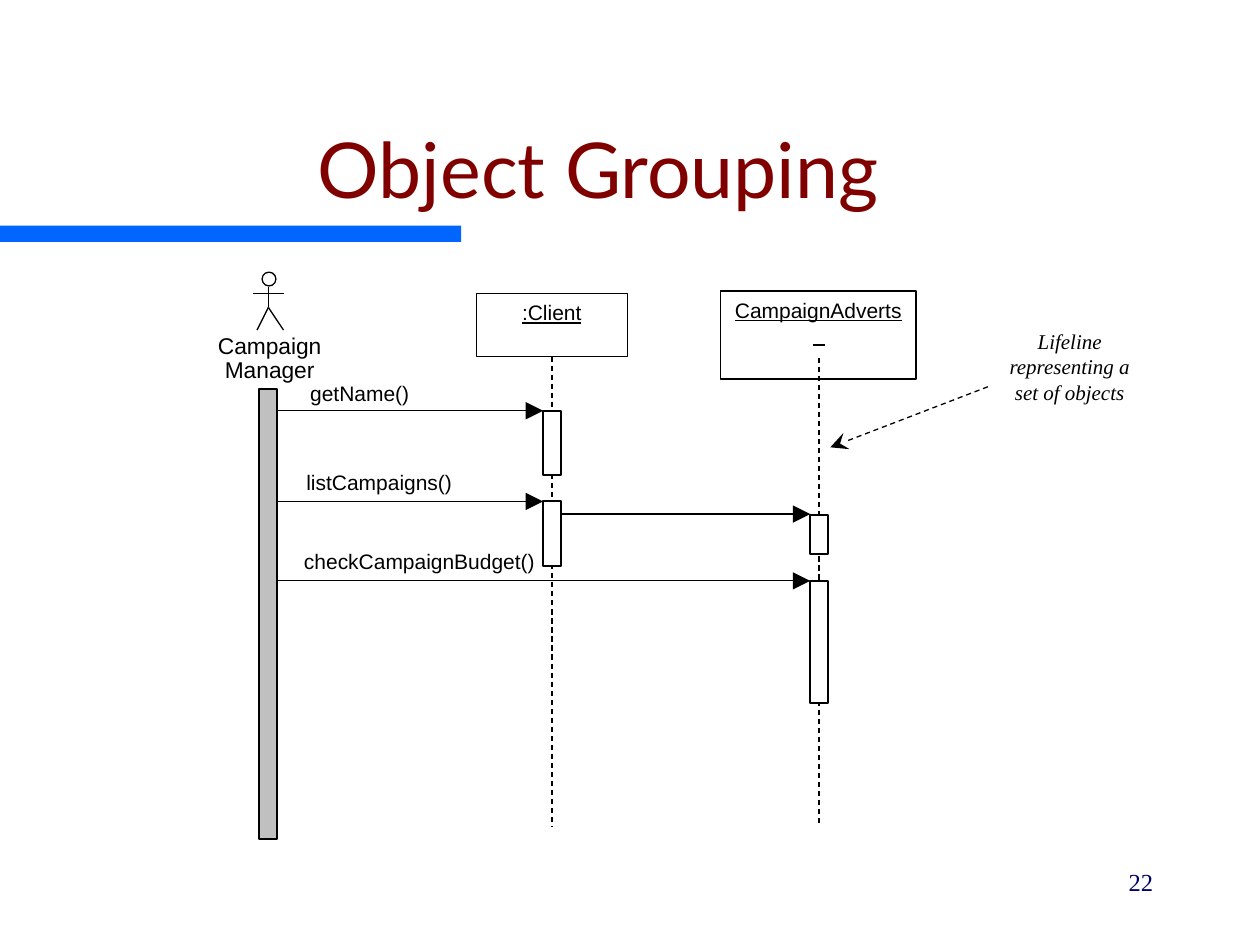
from dataclasses import dataclass

from lxml import etree
from pptx import Presentation
from pptx.dml.color import RGBColor
from pptx.enum import dml, shapes, text
from pptx.oxml import ns
from pptx.util import Inches, Pt


@dataclass(frozen=True)
class Theme:
    ink: str = "000000"
    paper: str = "FFFFFF"
    actor_bar: str = "C0C0C0"
    accent: str = "0066FF"
    title_color: str = "800000"
    number_color: str = "000066"
    title_font: str = "Lato"
    label_font: str = "Arial"
    note_font: str = "Times New Roman"
    title_size: int = 44
    label_size: int = 12
    actor_size: int = 13
    number_size: int = 14
    thin: float = 0.75
    bar_line: float = 1.13


THEME = Theme()
BAR = 0.14  # width of every activation bar
ACTOR_X, CLIENT_X, ADVERTS_X = 2.13, 4.38, 6.5


def write(frame, content, size, font=THEME.label_font, color=THEME.ink,
          align=text.PP_ALIGN.CENTER, anchor=text.MSO_ANCHOR.TOP,
          margins=(0.1, 0.05), wrap=True, **style):
    """Put one formatted paragraph in a text frame."""
    side, end = (Inches(m) for m in margins)
    layout = dict(word_wrap=wrap, vertical_anchor=anchor, margin_left=side,
                  margin_right=side, margin_top=end, margin_bottom=end)
    for key, value in layout.items():
        setattr(frame, key, value)
    paragraph = frame.paragraphs[0]
    paragraph.alignment = align
    run = paragraph.add_run()
    run.text = content
    for key, value in dict(name=font, size=Pt(size), **style).items():
        setattr(run.font, key, value)
    run.font.color.rgb = RGBColor.from_string(color)


def add_text(slide, box, content, size, **options):
    frame = slide.shapes.add_textbox(*map(Inches, box)).text_frame
    write(frame, content, size, **options)


def add_label(slide, box, content, size=THEME.label_size):
    add_text(slide, box, content, size, margins=(0, 0), wrap=False)


def add_box(slide, box, fill=None, width=THEME.thin,
            kind=shapes.MSO_SHAPE.RECTANGLE):
    shape = slide.shapes.add_shape(kind, *map(Inches, box))
    shape.shadow.inherit = False
    if fill:
        shape.fill.solid()
        shape.fill.fore_color.rgb = RGBColor.from_string(fill)
    else:
        shape.fill.background()
    if width:
        shape.line.color.rgb = RGBColor.from_string(THEME.ink)
        shape.line.width = Pt(width)
    else:
        shape.line.fill.background()
    return shape


def add_line(slide, start, end, head=None, dashed=False, width=THEME.thin):
    line = slide.shapes.add_connector(shapes.MSO_CONNECTOR.STRAIGHT,
                                      *map(Inches, (*start, *end)))
    line.line.color.rgb = RGBColor.from_string(THEME.ink)
    line.line.width = Pt(width)
    if dashed:
        line.line.dash_style = dml.MSO_LINE.DASH
    if head:
        etree.SubElement(line.line._get_or_add_ln(), ns.qn("a:tailEnd"),
                         type=head, w="lg", len="lg")
    etree.SubElement(line._element.spPr, ns.qn("a:effectLst"))
    return line


def add_object(slide, box, name):
    head = add_box(slide, box)
    write(head.text_frame, name, THEME.label_size, wrap=False, underline=True)
    return head


def add_activation(slide, x, top, height, fill=THEME.paper):
    add_box(slide, (x - BAR / 2, top, BAR, height), fill, THEME.bar_line)


def add_actor(slide):
    add_box(slide, (ACTOR_X - 0.05, 2.16, 0.11, 0.11), THEME.paper,
            kind=shapes.MSO_SHAPE.OVAL)
    neck, hip = (ACTOR_X, 2.28), (ACTOR_X, 2.44)
    limbs = [(neck, hip), (hip, (2.04, 2.62)), (hip, (2.25, 2.62)),
             ((2.01, 2.33), (2.25, 2.33))]
    for start, end in limbs:
        add_line(slide, start, end)
    for top, word in [(2.63, "Campaign"), (2.82, "Manager")]:
        add_label(slide, (1.64, top, 1, 0.22), word, THEME.actor_size)


def add_title(slide):
    add_box(slide, (0, 1.79, 3.66, 0.13), THEME.accent, width=None)
    title = slide.shapes.title
    place = dict(left=0.25, top=0.5, width=9, height=1.25)
    for key, value in place.items():
        setattr(title, key, Inches(value))
    write(title.text_frame, "Object Grouping", THEME.title_size,
          font=THEME.title_font, color=THEME.title_color,
          anchor=text.MSO_ANCHOR.BOTTOM)


def main():
    deck = Presentation()
    deck.slide_width, deck.slide_height = Inches(10), Inches(7.5)
    slide = deck.slides.add_slide(deck.slide_layouts[5])
    add_title(slide)

    # Objects and their lifelines
    client = add_object(slide, (3.78, 2.33, 1.2, 0.5), ":Client")
    add_object(slide, (5.72, 2.31, 1.55, 0.7), "CampaignAdverts")
    add_line(slide, (6.45, 2.74), (6.55, 2.74), width=THEME.bar_line)
    client_lifeline = add_line(slide, (CLIENT_X, 2.83), (CLIENT_X, 6.56),
                               dashed=True)
    client_lifeline.begin_connect(client, 2)
    add_line(slide, (ADVERTS_X, 2.84), (ADVERTS_X, 6.56), dashed=True)

    # Activation bars
    add_activation(slide, ACTOR_X, 3.09, 3.57, THEME.actor_bar)
    for x, top, height in [(CLIENT_X, 3.26, 0.51), (CLIENT_X, 3.98, 0.51),
                           (ADVERTS_X, 4.09, 0.31), (ADVERTS_X, 4.61, 0.97)]:
        add_activation(slide, x, top, height)

    # Messages run from the right side of one bar to the left of the next
    for source, target, y in [(ACTOR_X, CLIENT_X, 3.26),
                              (ACTOR_X, CLIENT_X, 3.98),
                              (CLIENT_X, ADVERTS_X, 4.08),
                              (ACTOR_X, ADVERTS_X, 4.61)]:
        add_line(slide, (source + BAR / 2, y), (target - BAR / 2, y),
                 head="triangle")
    for left, top, width, message in [
            (2.4, 3.02, 0.91, "getName()"),
            (2.14, 3.73, 1.74, "listCampaigns()"),
            (2.38, 4.35, 1.9, "checkCampaignBudget()")]:
        add_label(slide, (left, top, width, 0.2), message)

    add_actor(slide)

    # Note and page number
    add_line(slide, (7.84, 3.07), (6.59, 3.55), head="stealth", dashed=True)
    add_text(slide, (7.89, 2.56, 1.2, 0.7),
             "Lifeline representing a set of objects", THEME.label_size,
             font=THEME.note_font, italic=True)
    add_text(slide, (7.17, 6.83, 2.08, 0.5), "22", THEME.number_size,
             font=THEME.note_font, color=THEME.number_color,
             align=text.PP_ALIGN.RIGHT)

    deck.save("out.pptx")


if __name__ == "__main__":
    main()
